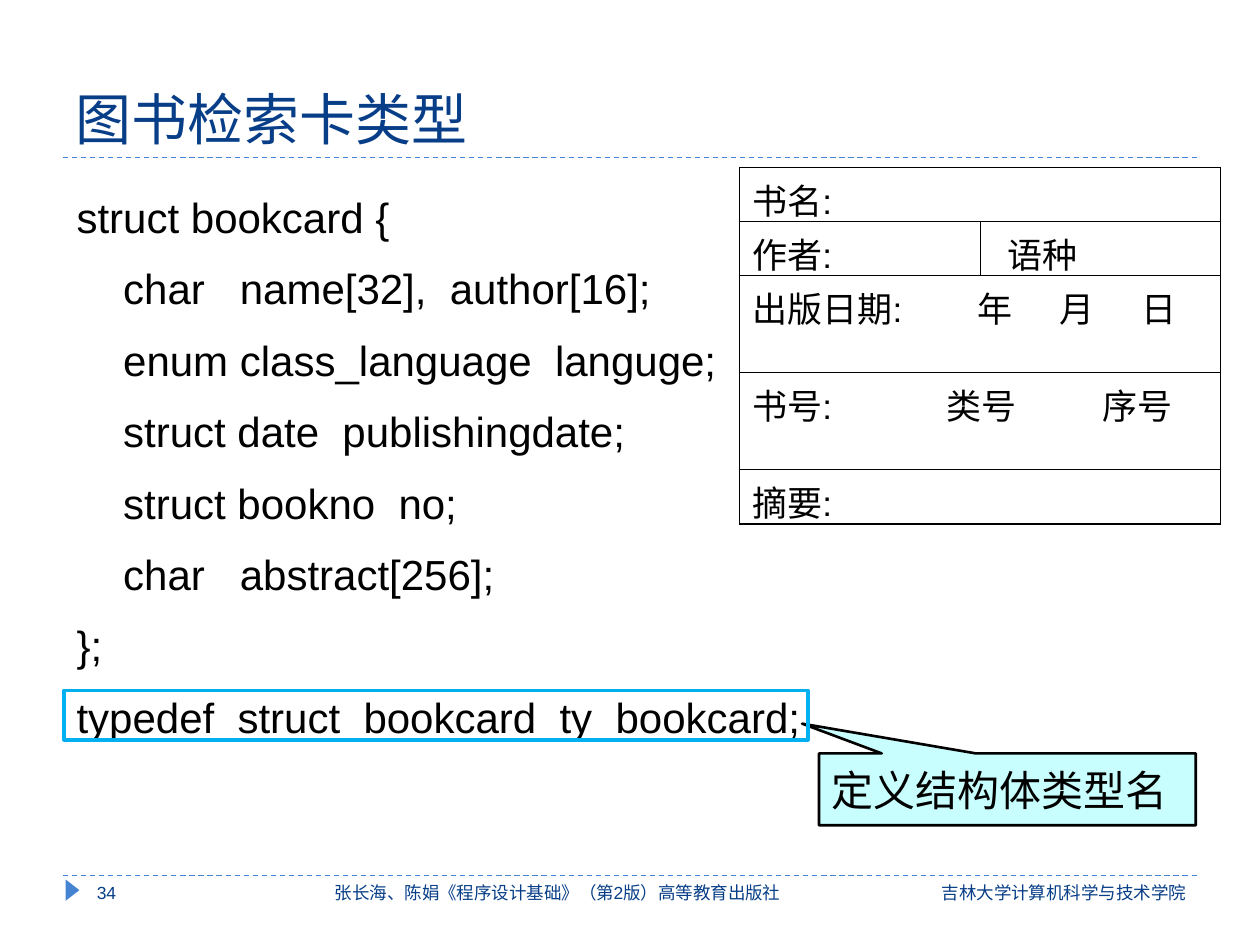
"""Build the library index card slide with its struct definition and card table."""
from dataclasses import dataclass

from lxml import etree
from pptx import Presentation
from pptx.dml.color import RGBColor
from pptx.enum.dml import MSO_LINE
from pptx.enum.shapes import MSO_CONNECTOR, MSO_SHAPE
from pptx.enum.text import MSO_ANCHOR, PP_ALIGN
from pptx.oxml.ns import qn
from pptx.util import Inches, Pt

STRAIGHT = MSO_CONNECTOR.STRAIGHT
DASH = MSO_LINE.DASH
TRIANGLE, RECTANGLE = MSO_SHAPE.ISOSCELES_TRIANGLE, MSO_SHAPE.RECTANGLE
CALLOUT = MSO_SHAPE.RECTANGULAR_CALLOUT
LEFT, CENTER, RIGHT = PP_ALIGN.LEFT, PP_ALIGN.CENTER, PP_ALIGN.RIGHT
TOP, MIDDLE, BOTTOM = MSO_ANCHOR.TOP, MSO_ANCHOR.MIDDLE, MSO_ANCHOR.BOTTOM

FONT = "Arial"
BLACK = RGBColor(0x00, 0x00, 0x00)
NAVY = RGBColor(0x07, 0x3E, 0x87)
BLUE = RGBColor(0x45, 0x84, 0xD3)
CYAN = RGBColor(0x00, 0xB0, 0xF0)
PALE_CYAN = RGBColor(0xC8, 0xFE, 0xFD)

CODE = """struct bookcard {
    char   name[32],  author[16];
    enum class_language  languge;
    struct date  publishingdate;
    struct bookno  no;
    char   abstract[256];
};
typedef  struct  bookcard  ty_bookcard;"""


@dataclass
class Label:
    text: str
    left: float
    top: float
    width: float
    height: float
    size: int
    color: RGBColor
    align: PP_ALIGN = LEFT
    anchor: MSO_ANCHOR = TOP


@dataclass
class CardRow:
    height: float
    texts: tuple[str, ...]
    tabs: tuple[float, ...] = ()


LABELS = [
    Label("图书检索卡类型", 0.5, 0.17, 9, 1.08, 32, NAVY, anchor=BOTTOM),
    Label("吉林大学计算机科学与技术学院", 7.05, 6.95, 2.46, 0.4, 10, NAVY, RIGHT),
    Label("张长海、陈娟《程序设计基础》（第2版）高等教育出版社",
          1.85, 6.95, 5.15, 0.4, 10, NAVY, CENTER),
    Label("34", 0.67, 6.95, 1.1, 0.4, 10, NAVY),
]

CARD_ROWS = [
    CardRow(0.43, ("书名:",)),
    CardRow(0.43, ("作者:", "语种")),
    CardRow(0.77, ("出版日期:\t年\t月\t日",), (1.79, 2.44, 3.09)),
    CardRow(0.77, ("书号:\t类号\t序号",), (1.54, 2.78)),
    CardRow(0.43, ("摘要:",)),
]


def format_text(tf, size: int, color: RGBColor, align: PP_ALIGN = LEFT) -> None:
    for p in tf.paragraphs:
        p.alignment = align
        for r in p.runs:
            r.font.name = FONT
            r.font.size = Pt(size)
            r.font.color.rgb = color


def add_label(s, label: Label):
    box = s.shapes.add_textbox(Inches(label.left), Inches(label.top),
                               Inches(label.width), Inches(label.height))
    tf = box.text_frame
    tf.word_wrap = True
    tf.vertical_anchor = label.anchor
    tf.text = label.text
    format_text(tf, label.size, label.color, label.align)
    return tf


def add_rule(s, y: float) -> None:
    line = s.shapes.add_connector(STRAIGHT, Inches(0.5), Inches(y), Inches(9.5), Inches(y))
    line.line.color.rgb = BLUE
    line.line.width = Pt(0.75)
    line.line.dash_style = DASH
    etree.SubElement(line.element.spPr, qn("a:effectLst"))


def add_shape(s, kind: MSO_SHAPE, left: float, top: float, width: float, height: float,
              fill: RGBColor | None = None, line: RGBColor | None = None,
              weight: float = 1):
    sp = s.shapes.add_shape(kind, Inches(left), Inches(top), Inches(width), Inches(height))
    sp.shadow.inherit = False
    if fill is None:
        sp.fill.background()
    else:
        sp.fill.solid()
        sp.fill.fore_color.rgb = fill
    if line is None:
        sp.line.fill.background()
    else:
        sp.line.color.rgb = line
        sp.line.width = Pt(weight)
    return sp


def add_callout(s) -> None:
    sp = add_shape(s, CALLOUT, 6.5, 5.98, 2.99, 0.57, PALE_CYAN, BLACK, 1.5)
    sp.adjustments[0], sp.adjustments[1] = -0.545, -0.915
    tf = sp.text_frame
    tf.vertical_anchor = MIDDLE
    tf.text = "定义结构体类型名"
    format_text(tf, 24, BLACK)


def add_code(s) -> None:
    tf = add_label(s, Label(CODE, 0.51, 1.47, 6.06, 4.47, 24, BLACK))
    for i, p in enumerate(tf.paragraphs):
        p.space_before = Pt(6 if i else 0)
        p.space_after = Pt(6)


def set_borders(cell) -> None:
    tc_pr = cell._tc.get_or_add_tcPr()
    for i, side in enumerate(("lnL", "lnR", "lnT", "lnB")):
        ln = etree.Element(qn(f"a:{side}"), w=str(Pt(0.75)))
        fill = etree.SubElement(ln, qn("a:solidFill"))
        etree.SubElement(fill, qn("a:srgbClr"), val=str(BLACK))
        tc_pr.insert(i, ln)


def set_tabs(p, stops: tuple[float, ...]) -> None:
    tabs = etree.SubElement(p._p.get_or_add_pPr(), qn("a:tabLst"))
    for stop in stops:
        etree.SubElement(tabs, qn("a:tab"), pos=str(Inches(stop)), algn="l")


def add_card(s, rows: list[CardRow]) -> None:
    table = s.shapes.add_table(len(rows), 2, Inches(5.87), Inches(1.33),
                               Inches(3.82), Inches(2.83)).table
    table.first_row = table.horz_banding = False
    for column in table.columns:
        column.width = Inches(1.91)
    for i, row in enumerate(rows):
        table.rows[i].height = Inches(row.height)
        if len(row.texts) == 1:
            table.cell(i, 0).merge(table.cell(i, 1))
        for j in range(2):
            cell = table.cell(i, j)
            cell.fill.background()
            cell.margin_bottom = 0
            cell.margin_left = Inches((0.1, 0.22)[j])
            set_borders(cell)
            if j < len(row.texts):
                tf = cell.text_frame
                tf.text = row.texts[j]
                if row.tabs:
                    set_tabs(tf.paragraphs[0], row.tabs)
                format_text(tf, 20, BLACK)


def main() -> None:
    prs = Presentation()
    prs.slide_width, prs.slide_height = Inches(10), Inches(7.5)
    s = prs.slides.add_slide(prs.slide_layouts[6])
    for y in (6.95, 1.25):
        add_rule(s, y)
    add_shape(s, TRIANGLE, 0.49, 7.01, 0.17, 0.11, BLUE).rotation = 90
    add_callout(s)
    for label in LABELS:
        add_label(s, label)
    add_code(s)
    add_shape(s, RECTANGLE, 0.51, 5.48, 5.9, 0.39, line=CYAN, weight=2.25)
    add_card(s, CARD_ROWS)
    prs.save("out.pptx")


if __name__ == "__main__":
    main()
